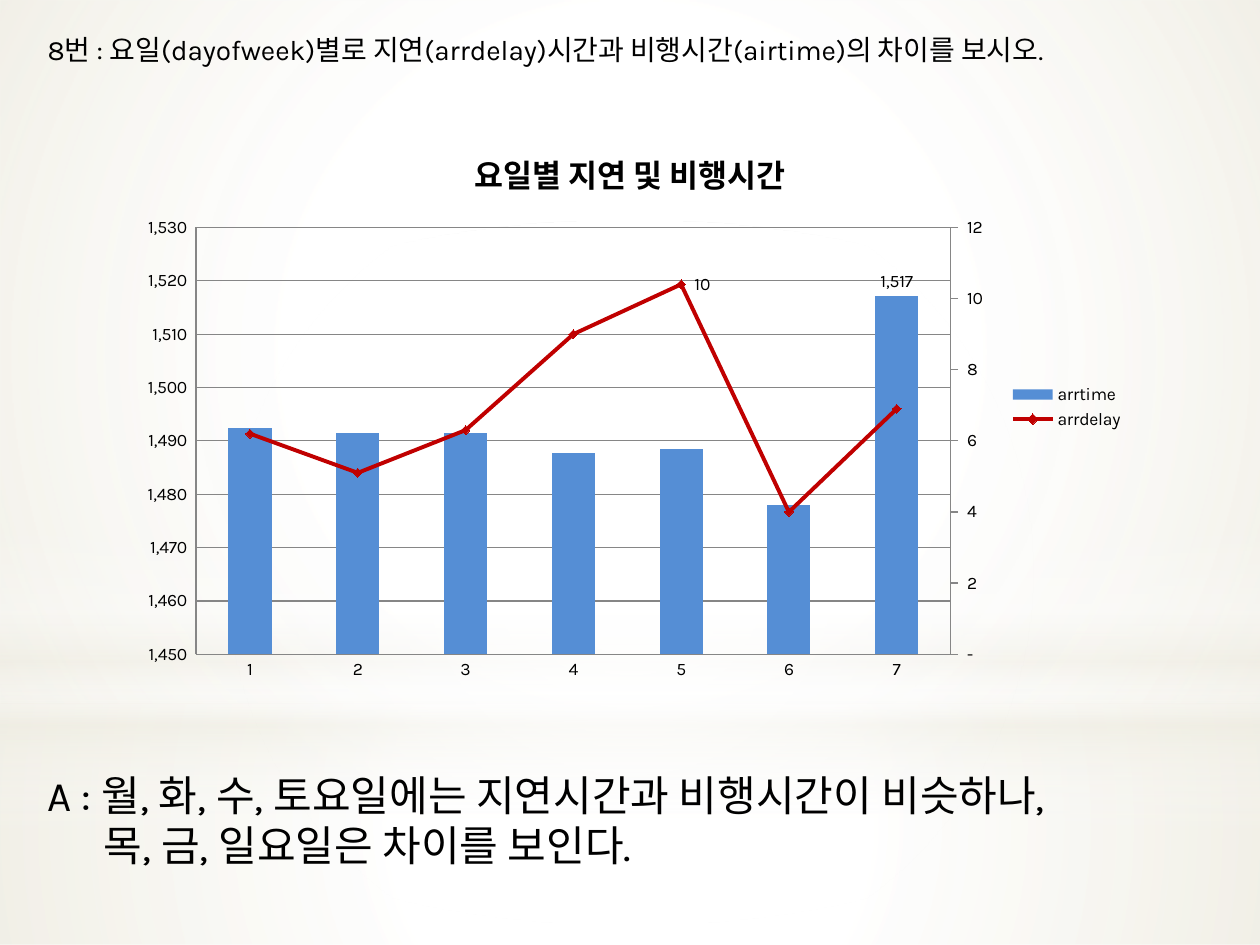
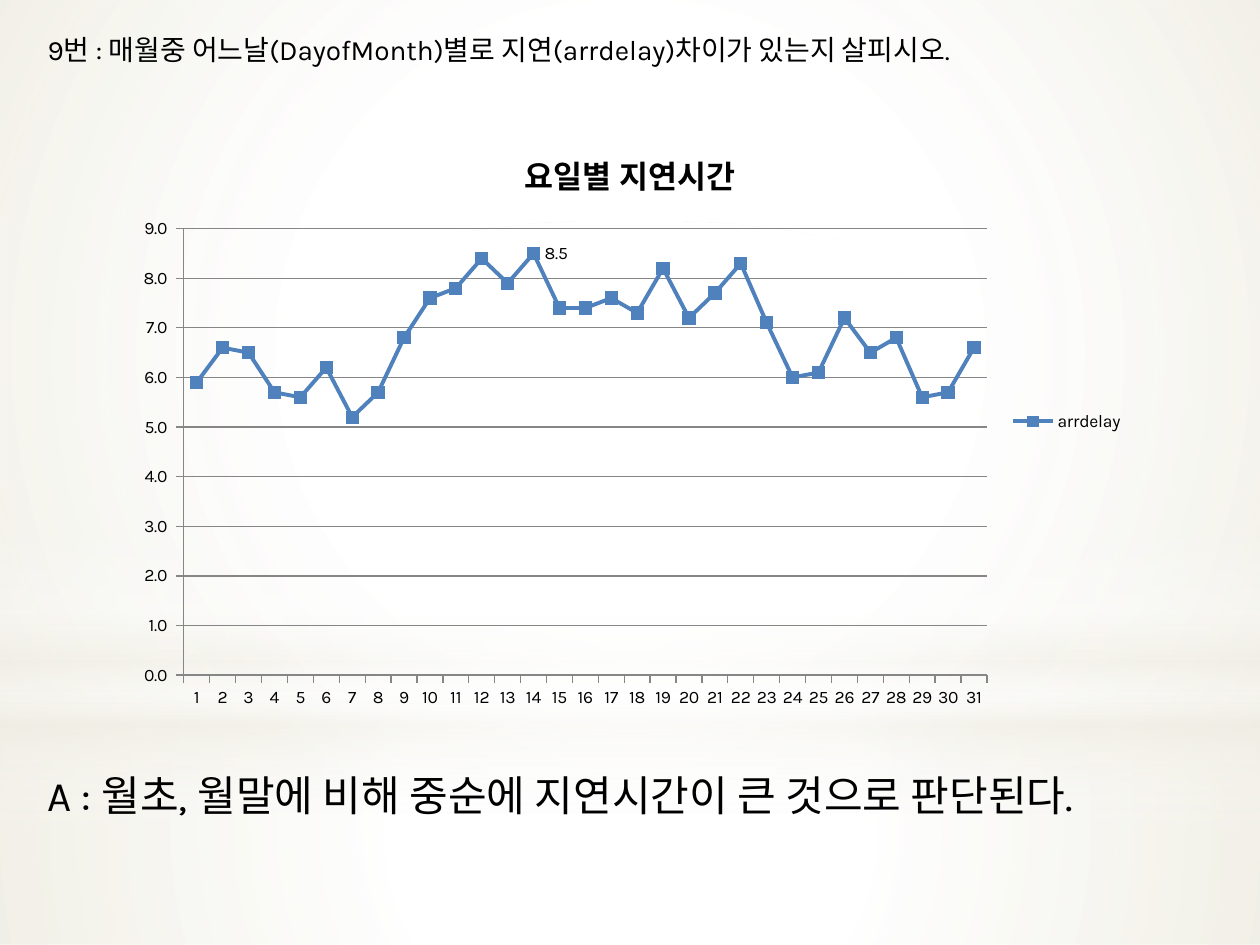
"""Build two slides on flight delays by weekday and by day of the month."""
import copy

import pptx
import pptx.chart.axis
import pptx.chart.data
import pptx.dml.color
import pptx.enum.chart
import pptx.enum.shapes
import pptx.enum.text
import pptx.oxml
import pptx.oxml.ns
import pptx.util

Pt = pptx.util.Pt
Rgb = pptx.dml.color.RGBColor.from_string
qn = pptx.oxml.ns.qn
Kind = pptx.enum.chart.XL_CHART_TYPE
Tick = pptx.enum.chart.XL_TICK_MARK
Spot = pptx.enum.chart.XL_LABEL_POSITION
Mark = pptx.enum.chart.XL_MARKER_STYLE
Form = pptx.enum.shapes.MSO_SHAPE


class Theme:
    font = "Karla"
    ink, paper, sand, grid = "000000", "FFFFFF", "EEECE1", "868686"
    bar, red, blue = "558ED5", "C00000", "4F81BD"
    ask, reply, head, label = 16, 24, 18, 10
    stroke, hair = 2.25, 0.75


def band(slide, form, box, stops, aim):
    """Add a borderless shape with a see-through gradient."""
    shape = slide.shapes.add_shape(form, *map(Pt, box))
    shape.shadow.inherit = False
    shape.line.fill.background()
    shape.fill.background()
    marks = "".join(
        f'<a:gs pos="{pos * 1000}"><a:srgbClr val="{tone}">'
        f'<a:alpha val="{alpha * 1000}"/></a:srgbClr></a:gs>'
        for pos, tone, alpha in stops)
    grad = pptx.oxml.parse_xml(
        f'<a:gradFill {pptx.oxml.ns.nsdecls("a")} rotWithShape="1">'
        f'<a:gsLst>{marks}</a:gsLst>{aim}</a:gradFill>')
    props = shape._element.spPr
    props.replace(props.find(qn("a:noFill")), grad)
    return shape


def write(shape, box, lines, size, hang=0):
    """Place a text holder and set its lines, later ones indented by hang."""
    shape.left, shape.top, shape.width, shape.height = map(Pt, box)
    frame = shape.text_frame
    frame.text = "\n".join(lines)
    frame.word_wrap = True
    frame.auto_size = pptx.enum.text.MSO_AUTO_SIZE.NONE
    frame.vertical_anchor = pptx.enum.text.MSO_ANCHOR.TOP
    for i, para in enumerate(frame.paragraphs):
        para.alignment = pptx.enum.text.PP_ALIGN.LEFT
        para.space_before = Pt(0)
        props = para._p.get_or_add_pPr()
        props.set("marL", str(Pt(hang if i else 0)))
        props.set("indent", "0")
        props.append(pptx.oxml.parse_xml(
            f'<a:buNone {pptx.oxml.ns.nsdecls("a")}/>'))
        for run in para.runs:
            run.font.name, run.font.size = Theme.font, Pt(size)
            run.font.color.rgb = Rgb(Theme.ink)


COUNT = '_(* #,##0_);_(* \\(#,##0\\);_(* "-"_);_(@_)'
PAGES = [
    dict(
        ask="8번 : 요일(dayofweek)별로 지연(arrdelay)시간과 비행시간(airtime)의 차이를 보시오.",
        reply=["A : 월, 화, 수, 토요일에는 지연시간과 비행시간이 비슷하나,",
               "목, 금, 일요일은 차이를 보인다."],
        head="요일별 지연 및 비행시간", kind=Kind.COLUMN_CLUSTERED, high=324,
        form=COUNT, scale=(1450, 1530, 10), tick=Tick.NONE,
        rows=[
            ("arrtime", [1492.4, 1491.5, 1491.4, 1487.8, 1488.5, 1477.9, 1517.1],
             Theme.bar, 6, None, None),
            ("arrdelay", [6.2, 5.1, 6.3, 9.0, 10.4, 4.0, 6.9],
             Theme.red, 4, Mark.DIAMOND, 5)]),
    dict(
        ask="9번 : 매월중 어느날(DayofMonth)별로 지연(arrdelay)차이가 있는지 살피시오.",
        reply=["A : 월초, 월말에 비해 중순에 지연시간이 큰 것으로 판단된다."],
        head="요일별 지연시간", kind=Kind.LINE_MARKERS, high=340.5,
        form="0.0_ ", scale=(0, 9, 1), tick=Tick.OUTSIDE,
        rows=[
            ("arrdelay",
             [5.9, 6.6, 6.5, 5.7, 5.6, 6.2, 5.2, 5.7, 6.8, 7.6, 7.8,
              8.4, 7.9, 8.5, 7.4, 7.4, 7.6, 7.3, 8.2, 7.2, 7.7, 8.3,
              7.1, 6.0, 6.1, 7.2, 6.5, 6.8, 5.6, 5.7, 6.6],
             Theme.blue, 13, Mark.SQUARE, 7)]),
]

deck = pptx.Presentation()
deck.slide_width, deck.slide_height = Pt(720), Pt(540)
layout = deck.slide_layouts[1]
slides = [deck.slides.add_slide(layout) for page in PAGES]

ROUND = ('<a:path path="circle"><a:fillToRect l="50000" t="50000" '
         'r="50000" b="50000"/></a:path>')
DOWN = '<a:lin ang="5400000" scaled="0"/>'
W, S = Theme.paper, Theme.sand
BANDS = [
    (Form.RECTANGLE, (0, 402, 720, 138),
     [(0, W, 91), (37, W, 76), (100, S, 79)], ROUND),
    (Form.RECTANGLE, (0, 0, 720, 402),
     [(0, W, 89), (48, W, 62), (100, S, 79)], ROUND),
    (Form.RECTANGLE, (0, 297, 720, 180),
     [(0, W, 0), (29, W, 30), (45, S, 40), (55, W, 26), (65, S, 60),
      (100, W, 0)], DOWN),
    (Form.OVAL, (0, 126, 720, 402), [(0, W, 100), (56, W, 0)], ROUND),
]
for i, item in enumerate(BANDS):
    shape = band(slides[0], *item)
    layout.shapes._spTree.insert(2 + i, shape._element)

for slide, page in zip(slides, PAGES):
    write(slide.shapes.title, (20, 15, 680, 27), [page["ask"]], Theme.ask)
    write(slide.placeholders[1], (20, 436, 690, 66), page["reply"],
          Theme.reply, 32)

    data = pptx.chart.data.CategoryChartData(number_format=page["form"])
    data.categories = [str(n + 1) for n in range(len(page["rows"][0][1]))]
    for name, vals, *rest in page["rows"]:
        data.add_series(name, vals)
    chart = slide.shapes.add_chart(
        page["kind"], Pt(70.5), Pt(70.5), Pt(579), Pt(page["high"]), data).chart
    chart.font.name, chart.font.size = Theme.font, Pt(Theme.label)
    chart.font.color.rgb = Rgb(Theme.ink)
    chart.has_title = True
    chart.chart_title.text_frame.text = page["head"]
    chart.chart_title.include_in_layout = False
    font = chart.chart_title.text_frame.paragraphs[0].runs[0].font
    font.name, font.size, font.bold = Theme.font, Pt(Theme.head), True
    font.color.rgb = Rgb(Theme.ink)
    chart.has_legend = True
    chart.legend.position = pptx.enum.chart.XL_LEGEND_POSITION.RIGHT
    chart.legend.include_in_layout = False

    cat, val = chart.category_axis, chart.value_axis
    val.minimum_scale, val.maximum_scale, val.major_unit = page["scale"]
    val.tick_labels.number_format = page["form"]
    val.tick_labels.number_format_is_linked = False
    val.has_major_gridlines = True
    cat.has_major_gridlines = False
    for axis in (cat, val):
        axis.major_tick_mark, axis.minor_tick_mark = page["tick"], Tick.NONE
    for part in (cat, val, val.major_gridlines):
        part.format.line.color.rgb = Rgb(Theme.grid)
        part.format.line.width = Pt(Theme.hair)
    plot = chart.plots[0]
    plot.vary_by_categories = False

    if len(page["rows"]) > 1:
        plot.gap_width = 150
        bars = plot._element
        line = pptx.oxml.parse_xml(
            f'<c:lineChart {pptx.oxml.ns.nsdecls("c")}>'
            '<c:grouping val="standard"/><c:varyColors val="0"/>'
            '<c:marker val="1"/><c:axId val="5001"/><c:axId val="5002"/>'
            '</c:lineChart>')
        delay = bars.findall(qn("c:ser"))[1]
        for flag in delay.findall(qn("c:invertIfNegative")):
            delay.remove(flag)
        line.insert(2, delay)
        bars.addnext(line)
        base, right = copy.deepcopy(cat._element), copy.deepcopy(val._element)
        for node, own, other in ((base, "5001", "5002"), (right, "5002", "5001")):
            node.find(qn("c:axId")).set("val", own)
            node.find(qn("c:crossAx")).set("val", other)
        right.find(qn("c:axPos")).set("val", "r")
        right.find(qn("c:crosses")).set("val", "max")
        val._element.addnext(right)
        right.addnext(base)
        pptx.chart.axis.CategoryAxis(base).visible = False
        side = pptx.chart.axis.ValueAxis(right)
        side.has_major_gridlines = False
        side.major_tick_mark = Tick.OUTSIDE
        side.minimum_scale, side.maximum_scale, side.major_unit = 0, 12, 2

    rows = [row for plot in chart.plots for row in plot.series]
    for row, (name, vals, tone, peak, mark, size) in zip(rows, page["rows"]):
        row.data_labels.show_value = False
        label = row.points[peak].data_label
        if mark is None:
            row.format.fill.solid()
            row.format.fill.fore_color.rgb = Rgb(tone)
            label.position = Spot.OUTSIDE_END
            continue
        label.position = Spot.RIGHT
        row.smooth = False
        row.format.line.color.rgb = Rgb(tone)
        row.format.line.width = Pt(Theme.stroke)
        row.marker.style, row.marker.size = mark, size
        row.marker.format.fill.solid()
        row.marker.format.fill.fore_color.rgb = Rgb(tone)
        row.marker.format.line.color.rgb = Rgb(tone)

deck.save("out.pptx")
